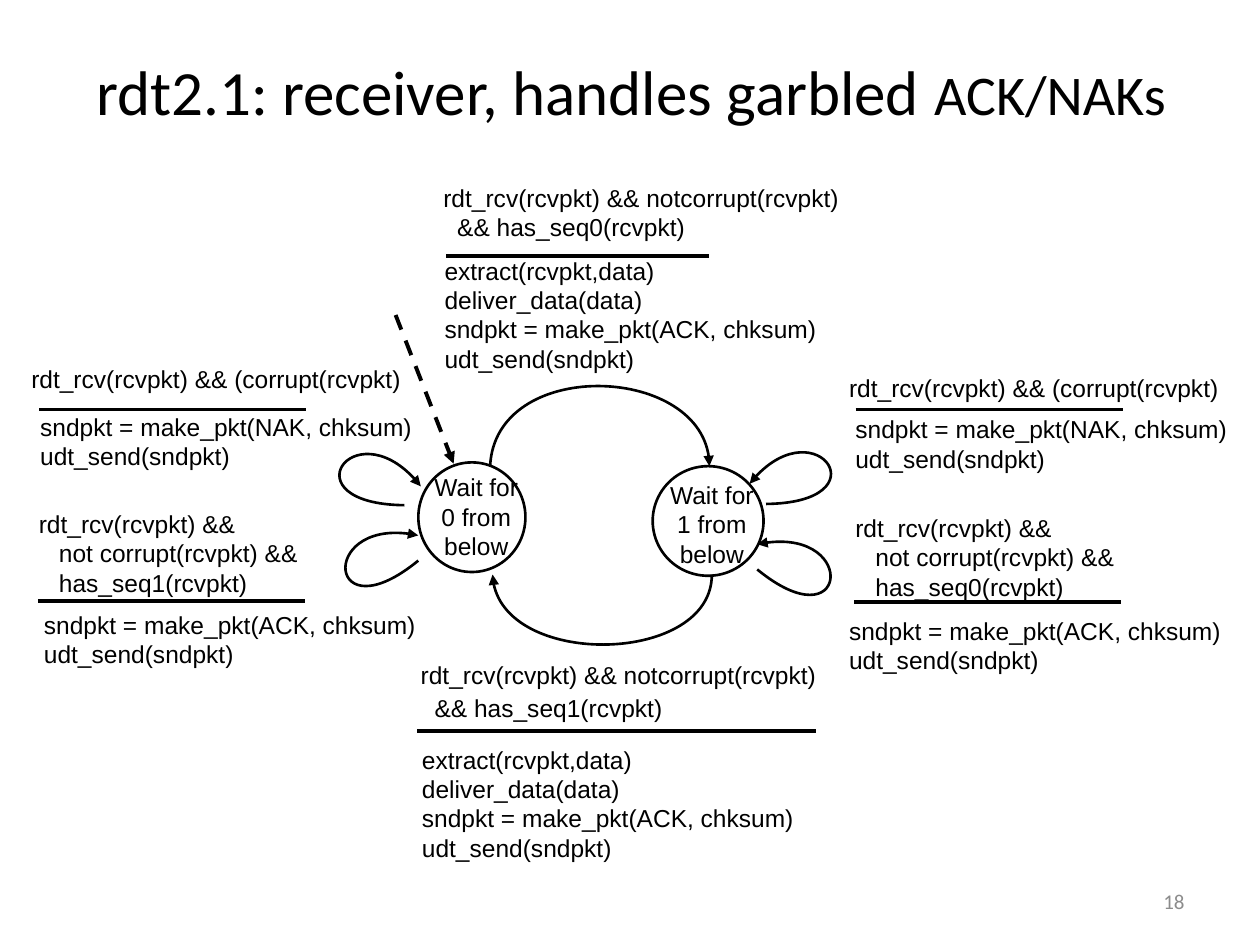
from lxml import etree
from pptx import Presentation
from pptx.dml.color import RGBColor
from pptx.enum import dml, shapes, text
from pptx.oxml import ns
from pptx.util import Inches, Pt

BLACK = RGBColor(0, 0, 0)
WHITE = RGBColor(255, 255, 255)
GRAY = RGBColor(0x8C, 0x8C, 0x8C)
LEFT, CENTER, RIGHT = text.PP_ALIGN.LEFT, text.PP_ALIGN.CENTER, text.PP_ALIGN.RIGHT


def write(paragraph, words, size=14, font="Arial", color=BLACK, align=LEFT):
    paragraph.alignment = align
    span = paragraph.add_run()
    span.text = words
    span.font.size = Pt(size)
    span.font.name = font
    span.font.color.rgb = color


class Diagram:
    thin, thick = 1.5, 2.25

    def __init__(self, page):
        self.page = page

    def title(self, spans, left, top, width, height):
        box = self.page.shapes.title
        box.left, box.top = Inches(left), Inches(top)
        box.width, box.height = Inches(width), Inches(height)
        box.text_frame.vertical_anchor = text.MSO_ANCHOR.MIDDLE
        for words, size in spans:
            write(box.text_frame.paragraphs[0], words, size, "Calibri", align=CENTER)

    def label(self, lines, left, top, width, height, indent=0, anchor=text.MSO_ANCHOR.TOP,
              parent=None, **style):
        owner = parent or self.page
        box = owner.shapes.add_textbox(Inches(left), Inches(top), Inches(width), Inches(height))
        frame = box.text_frame
        frame.word_wrap = True
        frame.vertical_anchor = anchor
        for number, words in enumerate(lines):
            paragraph = frame.add_paragraph() if number else frame.paragraphs[0]
            if number and indent:
                paragraph._p.get_or_add_pPr().set("marL", str(Inches(indent)))
            write(paragraph, words, **style)
        return box

    def state(self, lines, left, top, width, height, label_left, label_top):
        group = self.page.shapes.add_group_shape()
        circle = group.shapes.add_shape(shapes.MSO_SHAPE.OVAL, Inches(left), Inches(top),
                                        Inches(width), Inches(height))
        circle.shadow.inherit = False
        circle.fill.solid()
        circle.fill.fore_color.rgb = WHITE
        self.stroke(circle, self.thin)
        self.label(lines, label_left, label_top, 0.88, 0.67, parent=group, align=CENTER)

    def stroke(self, shape, weight, arrow=False):
        shape.line.color.rgb = BLACK
        shape.line.width = Pt(weight)
        if arrow:
            line = shape.line._get_or_add_ln()
            etree.SubElement(line, ns.qn("a:tailEnd"), type="triangle")

    def segment(self, start, end, dashed=False, arrow=False):
        line = self.page.shapes.add_connector(
            shapes.MSO_CONNECTOR.STRAIGHT, *(Inches(value) for value in start + end))
        if dashed:
            line.line.dash_style = dml.MSO_LINE.DASH
        self.stroke(line, self.thick, arrow)
        etree.SubElement(line._element.spPr, ns.qn("a:effectLst"))

    def curve(self, *points):
        start, *others = [(Inches(x), Inches(y)) for x, y in points]
        builder = self.page.shapes.build_freeform(*start)
        builder.add_line_segments(others, close=False)
        arc = builder.convert_to_shape()
        outline = arc._element.spPr.find(".//" + ns.qn("a:path"))
        bezier = etree.SubElement(outline, ns.qn("a:cubicBezTo"))
        for step in outline.findall(ns.qn("a:lnTo")):
            bezier.append(step[0])
            outline.remove(step)
        arc.shadow.inherit = False
        arc.fill.background()
        self.stroke(arc, self.thin, arrow=True)


deck = Presentation()
deck.slide_width, deck.slide_height = Inches(10), Inches(7.5)
diagram = Diagram(deck.slides.add_slide(deck.slide_layouts[5]))

diagram.title([("rdt2.1: receiver, handles garbled ", 36), ("ACK/NAKs", 32)],
              0.46, 0.2, 9.1, 1.03)

diagram.state(["Wait for", "0 from below"], 3.32, 3.67, 0.85, 0.87, 3.34, 3.7)
diagram.state(["Wait for", "1 from below"], 5.18, 3.7, 0.88, 0.87, 5.21, 3.76)
diagram.segment((3.14, 2.5), (3.6, 3.68), dashed=True, arrow=True)

for points in [
    [(3.89, 3.7), (3.93, 2.84), (5.63, 2.89), (5.63, 3.7)],
    [(5.65, 4.56), (5.65, 5.27), (3.94, 5.31), (3.91, 4.56)],
    [(6.08, 4), (7.01, 3.99), (6.46, 3.2), (5.95, 3.84)],
    [(6.01, 4.52), (6.73, 5.11), (6.82, 4.15), (6.01, 4.32)],
    [(3.32, 4.45), (2.6, 5.04), (2.52, 4.08), (3.32, 4.25)],
    [(3.21, 4.01), (2.28, 4), (2.83, 3.21), (3.34, 3.86)],
]:
    diagram.curve(*points)

for left, right, y in [(3.54, 5.63, 2.03), (3.31, 6.48, 5.8), (0.31, 2.43, 3.25),
                       (0.3, 2.42, 4.77), (6.79, 8.91, 3.25), (6.78, 8.9, 4.78)]:
    diagram.segment((left, y), (right, y))

SEND = "udt_send(sndpkt)"
MAKE_ACK = "sndpkt = make_pkt(ACK, chksum)"
MAKE_NAK = "sndpkt = make_pkt(NAK, chksum)"
DELIVER = ["extract(rcvpkt,data)", "deliver_data(data)", MAKE_ACK, SEND]

for bit, event_at, action_at in [
    (0, (3.42, 1.4, 4.35, 0.62), (3.43, 1.98, 3.8, 0.77)),
    (1, (3.24, 5.19, 3.92, 0.62), (3.25, 5.86, 4.21, 1.09)),
]:
    event = diagram.label(["rdt_rcv(rcvpkt) && notcorrupt(rcvpkt)", f"&& has_seq{bit}(rcvpkt)"],
                          *event_at, indent=0.11)
    if bit:
        write(event.text_frame.paragraphs[1], " ", size=16)
    diagram.label(DELIVER, *action_at)

for bit, corrupt_at, nak_at, repeat_at, ack_at in [
    (1, (0.15, 2.84), (0.22, 3.22), (0.21, 3.99), (0.25, 4.79)),
    (0, (6.64, 2.91), (6.69, 3.24), (6.69, 4.02), (6.64, 4.84)),
]:
    diagram.label(["rdt_rcv(rcvpkt) && (corrupt(rcvpkt)"], *corrupt_at, 3.14, 0.67)
    diagram.label([MAKE_NAK, SEND], *nak_at, 3.31, 0.45)
    diagram.label(["rdt_rcv(rcvpkt) &&", "not corrupt(rcvpkt) &&", f"has_seq{bit}(rcvpkt)"],
                  *repeat_at, 2.87, 0.67, indent=0.16)
    diagram.label([MAKE_ACK, SEND], *ack_at, 3.22, 0.45)

diagram.label(["18"], 7.17, 6.95, 2.33, 0.4, anchor=text.MSO_ANCHOR.MIDDLE,
              size=12, font="Calibri", color=GRAY, align=RIGHT)

deck.save("out.pptx")
